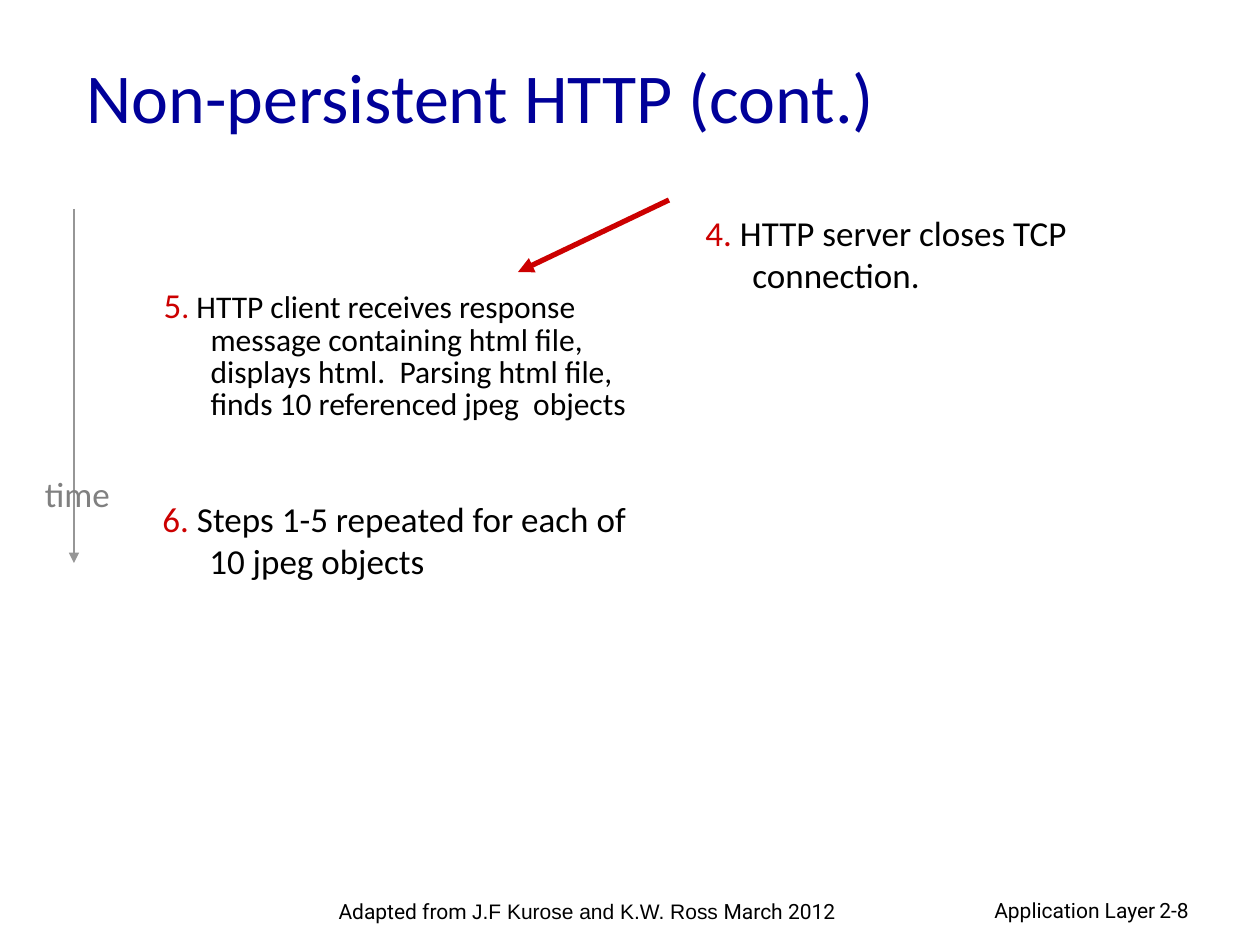
import pptx
import pptx.util
import pptx.dml.color
import pptx.enum.shapes
import pptx.enum.text
import pptx.oxml
import pptx.oxml.ns

PX = 914400 / 126
NAVY = pptx.dml.color.RGBColor(0x00, 0x00, 0x99)
RED = pptx.dml.color.RGBColor(0xCC, 0x00, 0x00)
BLACK = pptx.dml.color.RGBColor(0x00, 0x00, 0x00)
GRAY = pptx.dml.color.RGBColor(0x80, 0x80, 0x80)
SILVER = pptx.dml.color.RGBColor(0x96, 0x96, 0x96)
LEFT = pptx.enum.text.PP_ALIGN.LEFT
CENTER = pptx.enum.text.PP_ALIGN.CENTER
RIGHT = pptx.enum.text.PP_ALIGN.RIGHT


def emu(px):
    """Turn px into EMU."""
    return pptx.util.Emu(round(px * PX))


def place(sp, box):
    """Move a shape to a box of left, top, width and height."""
    sp.left, sp.top, sp.width, sp.height = [emu(v) for v in box]


def add_runs(p, runs):
    """Add runs of text, size, font and colour to a paragraph."""
    for text, size, font, color in runs:
        r = p.add_run()
        r.text = text
        r.font.size = pptx.util.Pt(size)
        r.font.name = font
        r.font.color.rgb = color


def add_label(s, box, runs, align=LEFT, wrap=True):
    """Add a text box with one paragraph and return the paragraph."""
    sp = s.shapes.add_textbox(*[emu(v) for v in box])
    tf = sp.text_frame
    tf.word_wrap = wrap
    p = tf.paragraphs[0]
    p.alignment = align
    add_runs(p, runs)
    return p


def hang(p):
    """Give a paragraph a hanging indent without a bullet."""
    pPr = p._p.get_or_add_pPr()
    pPr.set("marL", str(emu(47)))
    pPr.set("indent", str(emu(-47)))
    pPr.append(pptx.oxml.parse_xml(
        "<a:buNone %s/>" % pptx.oxml.ns.nsdecls("a")))


def add_step(s, box, number, text):
    """Add a numbered step in a text box."""
    hang(add_label(s, box, [(number, 20, "Calibri", RED),
                            (text, 20, "Calibri", BLACK)]))


def add_arrow(s, start, end, color, width):
    """Add a straight arrow from start to end."""
    c = s.shapes.add_connector(
        pptx.enum.shapes.MSO_CONNECTOR.STRAIGHT,
        *[emu(v) for v in (*start, *end)])
    c.line.color.rgb = color
    c.line.width = pptx.util.Pt(width)
    ns = pptx.oxml.ns.nsdecls("a")
    c.line._get_or_add_ln().append(
        pptx.oxml.parse_xml('<a:tailEnd %s type="triangle"/>' % ns))
    c._element.spPr.append(pptx.oxml.parse_xml("<a:effectLst %s/>" % ns))


def fill_title(sp, box):
    """Place and write the title."""
    place(sp, box)
    tf = sp.text_frame
    tf.auto_size = pptx.enum.text.MSO_AUTO_SIZE.NONE
    tf.vertical_anchor = pptx.enum.text.MSO_ANCHOR.MIDDLE
    p = tf.paragraphs[0]
    p.alignment = LEFT
    add_runs(p, [("Non-persistent HTTP (cont.)", 40, "Calibri", NAVY)])


def fill_body(sp, box):
    """Place and write the step in the body placeholder."""
    place(sp, box)
    tf = sp.text_frame
    tf.auto_size = pptx.enum.text.MSO_AUTO_SIZE.NONE
    p = tf.paragraphs[0]
    hang(p)
    p.line_spacing = 0.85
    p.space_before = pptx.util.Pt(0)
    add_runs(p, [
        ("5", 20, "Calibri", RED),
        (".", 18, "Calibri", RED),
        (" HTTP client receives response message containing html file, "
         "displays html.  Parsing html file, finds 10 referenced jpeg  objects",
         18, "Calibri", BLACK)])


def add_timeline(s, box):
    """Add the time axis and its label."""
    x, y, w, h = box
    mid = x + w // 2 - 3
    add_arrow(s, (mid, y), (mid, y + h), SILVER, 1.5)
    add_label(s, (x, y + 257, w, 55),
              [("time", 20, "Calibri", GRAY)], CENTER, False)


def add_footer(s, box):
    """Add the credit, the chapter name and the page number."""
    x, y, w, h = box
    add_label(s, (x, y + 1, 640, 30),
              [("Adapted from ", 12, "Roboto", BLACK),
               ("J.F Kurose and K.W. Ross", 12, "Arial", BLACK),
               (" March 2012", 12, "Roboto", BLACK)], CENTER)
    add_label(s, (x + 502, y, 399, h),
              [("Application Layer", 12, "Roboto", BLACK)], RIGHT)
    add_label(s, (x + w - 93, y, 93, h), [("2-8", 12, "Roboto", BLACK)])


def main():
    """Build the slide and save it."""
    prs = pptx.Presentation()
    prs.slide_width, prs.slide_height = emu(1260), emu(945)
    s = prs.slides.add_slide(prs.slide_layouts[1])
    fill_title(s.shapes.title, (74, 35, 1071, 120))
    fill_body(s.placeholders[1], (151, 284, 525, 212))
    add_step(s, (150, 491, 525, 92), "6.",
             " Steps 1-5 repeated for each of 10 jpeg objects")
    add_step(s, (693, 205, 525, 101), "4.",
             " HTTP server closes TCP connection.")
    add_timeline(s, (28, 209, 99, 354))
    add_arrow(s, (669, 200), (518, 272), RED, 3)
    add_footer(s, (267, 891, 973, 38))
    prs.save("out.pptx")


if __name__ == "__main__":
    main()
